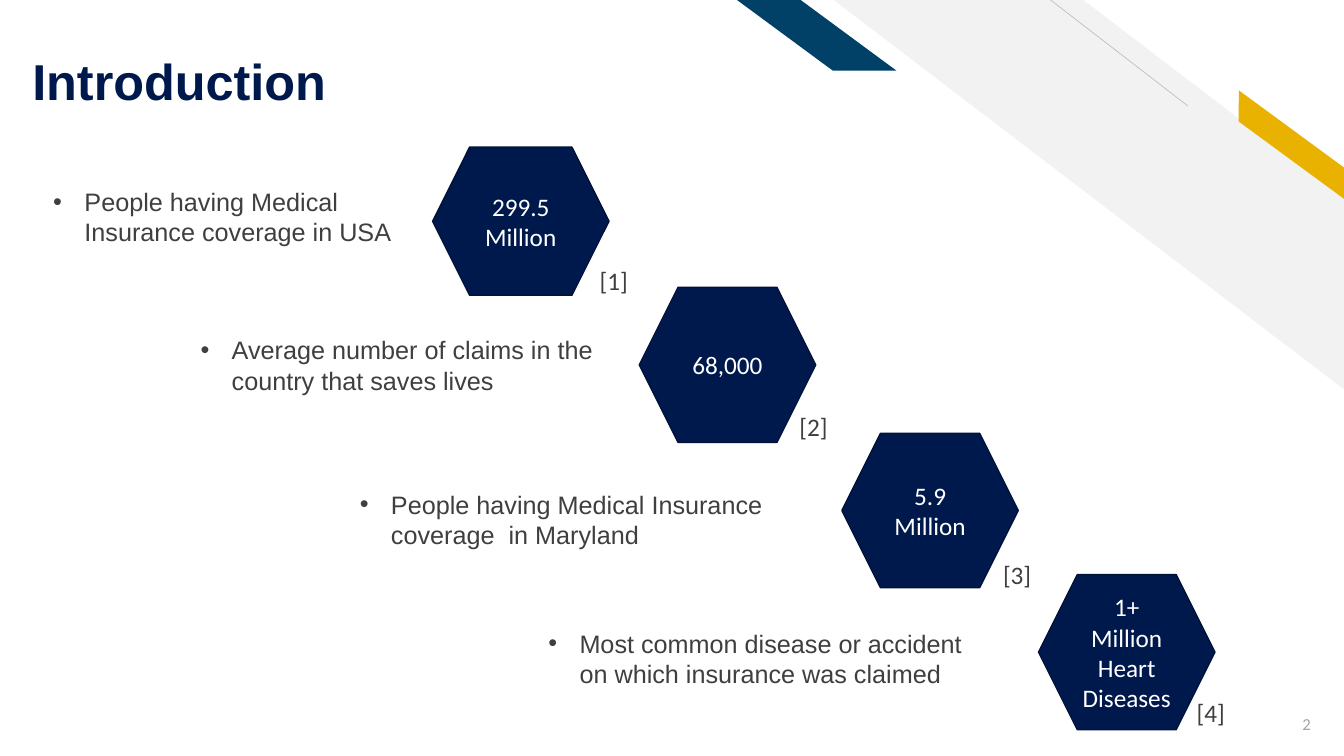
from lxml import etree
from pptx import Presentation
from pptx.dml.color import RGBColor
from pptx.enum.shapes import MSO_CONNECTOR, MSO_SHAPE
from pptx.enum.text import MSO_ANCHOR, MSO_AUTO_SIZE, PP_ALIGN
from pptx.oxml.ns import qn
from pptx.util import Inches, Pt

STRIPE = MSO_SHAPE.DIAGONAL_STRIPE
PARALLELOGRAM = MSO_SHAPE.PARALLELOGRAM
HEXAGON = MSO_SHAPE.HEXAGON
STRAIGHT = MSO_CONNECTOR.STRAIGHT
MIDDLE, BOTTOM = MSO_ANCHOR.MIDDLE, MSO_ANCHOR.BOTTOM
LEFT, CENTER, RIGHT = PP_ALIGN.LEFT, PP_ALIGN.CENTER, PP_ALIGN.RIGHT
NO_FIT = MSO_AUTO_SIZE.NONE

NAVY, NAVY_EDGE, DARK_GREY = "00194C", "001238", "3F3F3F"

# statement and its place, hexagon text and its place, reference and its place
FACTS = [
    ("People having Medical Insurance coverage in USA", (0.43, 1.8, 3.9, 0.71),
     "299.5\nMillion", (4.29, 1.46, 1.75, 1.47), "[1]", (5.85, 2.58)),
    ("Average number of claims in the country that saves lives", (1.89, 3.27, 4.18, 0.71),
     "68,000", (6.34, 2.85, 1.75, 1.54), "[2]", (7.83, 4.03)),
    ("People having Medical Insurance coverage  in Maryland", (3.47, 4.8, 4.36, 0.71),
     "5.9\nMillion", (8.35, 4.3, 1.75, 1.53), "[3]", (9.85, 5.5)),
    ("Most common disease or accident on which insurance was claimed", (5.34, 6.18, 4.64, 0.71),
     "1+ Million\nHeart Diseases", (10.3, 5.7, 1.75, 1.54), "[4]", (11.77, 6.87)),
]


def rgb(color):
    return RGBColor.from_string(color)


def inches(*lengths):
    return [Inches(length) for length in lengths]


def format_text(frame, size, font, color, align=LEFT, bold=False):
    for paragraph in frame.paragraphs:
        paragraph.alignment = align
        for run in paragraph.runs:
            run.font.size = Pt(size)
            run.font.name = font
            run.font.bold = bold
            run.font.color.rgb = rgb(color)


def add_filled(slide, preset, place, fill):
    shape = slide.shapes.add_shape(preset, *inches(*place))
    shape.shadow.inherit = False
    shape.fill.solid()
    shape.fill.fore_color.rgb = rgb(fill)
    shape.line.fill.background()
    return shape


def add_band(slide, preset, place, fill, slant, rotation=0):
    """Add a mirrored diagonal band of the corner decoration."""
    band = add_filled(slide, preset, place, fill)
    band.adjustments[0] = slant
    band.rotation = rotation
    band._element.spPr.find(qn("a:xfrm")).set("flipH", "1")


def add_hairline(slide, start, end):
    line = slide.shapes.add_connector(STRAIGHT, *inches(*start, *end))
    line.line.color.rgb = rgb("BFBFBF")
    line.line.width = Pt(0.5)
    etree.SubElement(line._element.spPr, qn("a:effectLst"))


def add_label(slide, text, place, size, font, color, align=LEFT):
    label = slide.shapes.add_textbox(*inches(*place))
    frame = label.text_frame
    frame.word_wrap = True
    frame.text = text
    format_text(frame, size, font, color, align)
    return frame


def add_bullet(paragraph):
    properties = paragraph._p.get_or_add_pPr()
    indent = Inches(0.31)
    properties.set("marL", str(indent))
    properties.set("indent", str(-indent))
    etree.SubElement(properties, qn("a:buFont")).set("typeface", "Arial")
    etree.SubElement(properties, qn("a:buChar")).set("char", "•")


def add_hexagon(slide, text, place):
    hexagon = add_filled(slide, HEXAGON, place, NAVY)
    hexagon.line.color.rgb = rgb(NAVY_EDGE)
    hexagon.line.width = Pt(1)
    frame = hexagon.text_frame
    frame.text = text
    frame.vertical_anchor = MIDDLE
    format_text(frame, 18, "Calibri", "FFFFFF", CENTER)


def add_fact(slide, statement, statement_place, figure, figure_place, reference, corner):
    frame = add_label(slide, statement, statement_place, 18, "Arial", DARK_GREY)
    add_bullet(frame.paragraphs[0])
    add_hexagon(slide, figure, figure_place)
    add_label(slide, reference, (*corner, 0.57, 0.4), 18, "Calibri", DARK_GREY)


def set_title(slide, text):
    title = slide.shapes.title
    title.left, title.top, title.width, title.height = inches(0.22, -0.15, 9.11, 1.26)
    frame = title.text_frame
    frame.text = text
    frame.auto_size = NO_FIT
    frame.vertical_anchor = BOTTOM
    frame.margin_bottom = 0
    frame.paragraphs[0].line_spacing = 0.9
    format_text(frame, 36, "Arial", NAVY, bold=True)


def main():
    deck = Presentation()
    deck.slide_width, deck.slide_height = inches(13.33, 7.5)
    slide = deck.slides.add_slide(deck.slide_layouts[5])

    add_band(slide, STRIPE, (8.27, 0, 5.07, 3.87), "F2F2F2", 0.512)
    add_hairline(slide, (11.78, 1.05), (10.42, 0))
    add_band(slide, PARALLELOGRAM, (12.07, 1.31, 1.48, 0.25), "EAB200", 0.72, 36.3)
    add_band(slide, PARALLELOGRAM, (7.31, 0, 1.58, 0.7), "014067", 1.356)

    set_title(slide, "Introduction")
    for fact in FACTS:
        add_fact(slide, *fact)
    number = add_label(slide, "2", (12.29, 6.98, 0.81, 0.4), 12, "Calibri", "A5A5A5", RIGHT)
    number.vertical_anchor = MIDDLE

    deck.save("out.pptx")


if __name__ == "__main__":
    main()
